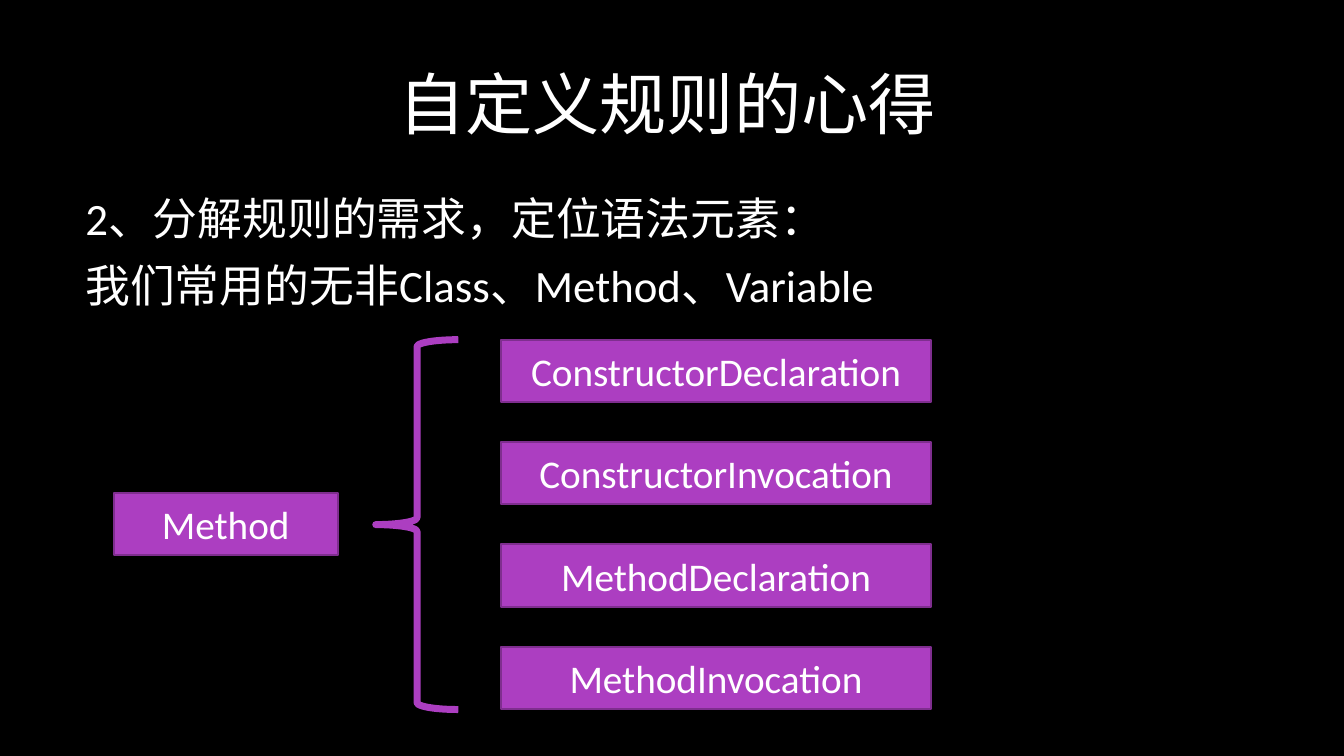
from pptx import Presentation
from pptx.dml.color import RGBColor
from pptx.enum.shapes import MSO_SHAPE
from pptx.enum.text import MSO_ANCHOR, PP_ALIGN
from pptx.util import Cm, Pt

BLACK = RGBColor(0x00, 0x00, 0x00)
WHITE = RGBColor(0xFF, 0xFF, 0xFF)
PURPLE = RGBColor(0xAC, 0x3E, 0xC1)
DARK_PURPLE = RGBColor(0x7F, 0x2E, 0x8F)
FONT = "Calibri"
RECTANGLE, LEFT_BRACE = MSO_SHAPE.RECTANGLE, MSO_SHAPE.LEFT_BRACE
MIDDLE, TOP = MSO_ANCHOR.MIDDLE, MSO_ANCHOR.TOP
CENTER, LEFT = PP_ALIGN.CENTER, PP_ALIGN.LEFT


def write(box, lines, size, align=CENTER, anchor=MIDDLE, space_after=0):
    frame = box.text_frame
    frame.word_wrap = True
    frame.vertical_anchor = anchor
    for index, line in enumerate(lines):
        para = frame.add_paragraph() if index else frame.paragraphs[0]
        para.alignment = align
        para.space_after = Pt(space_after)
        span = para.add_run()
        span.text = line
        span.font.name = FONT
        span.font.size = Pt(size)
        span.font.color.rgb = WHITE


def add_label(page, text, left, top, width):
    box = page.shapes.add_shape(RECTANGLE, Cm(left), Cm(top), Cm(width), Cm(1.57))
    box.shadow.inherit = False
    box.fill.solid()
    box.fill.fore_color.rgb = PURPLE
    box.line.color.rgb = DARK_PURPLE
    box.line.width = Pt(1.5)
    write(box, [text], 28)


deck = Presentation()
deck.slide_width = Cm(33.87)
deck.slide_height = Cm(19.05)
page = deck.slides.add_slide(deck.slide_layouts[6])
page.background.fill.solid()
page.background.fill.fore_color.rgb = BLACK

# Title and introduction
title = page.shapes.add_textbox(Cm(1.9), Cm(1.55), Cm(29.82), Cm(2.08))
write(title, ["自定义规则的心得"], 48)
intro = page.shapes.add_textbox(Cm(1.9), Cm(4.67), Cm(29.82), Cm(12.93))
intro_lines = [
    "2、分解规则的需求，定位语法元素：",
    "我们常用的无非Class、Method、Variable",
]
write(intro, intro_lines, 32, LEFT, TOP, 10)

# Brace joining Method to its syntax elements
brace = page.shapes.add_shape(LEFT_BRACE, Cm(9.47), Cm(8.56), Cm(2.08), Cm(9.32))
brace.shadow.inherit = False
brace.fill.background()
brace.line.color.rgb = PURPLE
brace.line.width = Pt(5)

# Syntax elements, evenly spaced
elements = [
    "ConstructorDeclaration",
    "ConstructorInvocation",
    "MethodDeclaration",
    "MethodInvocation",
]
for row, element in enumerate(elements):
    add_label(page, element, 12.62, 8.56 + 2.58 * row, 10.85)
add_label(page, "Method", 2.87, 12.42, 5.64)

deck.save("out.pptx")
